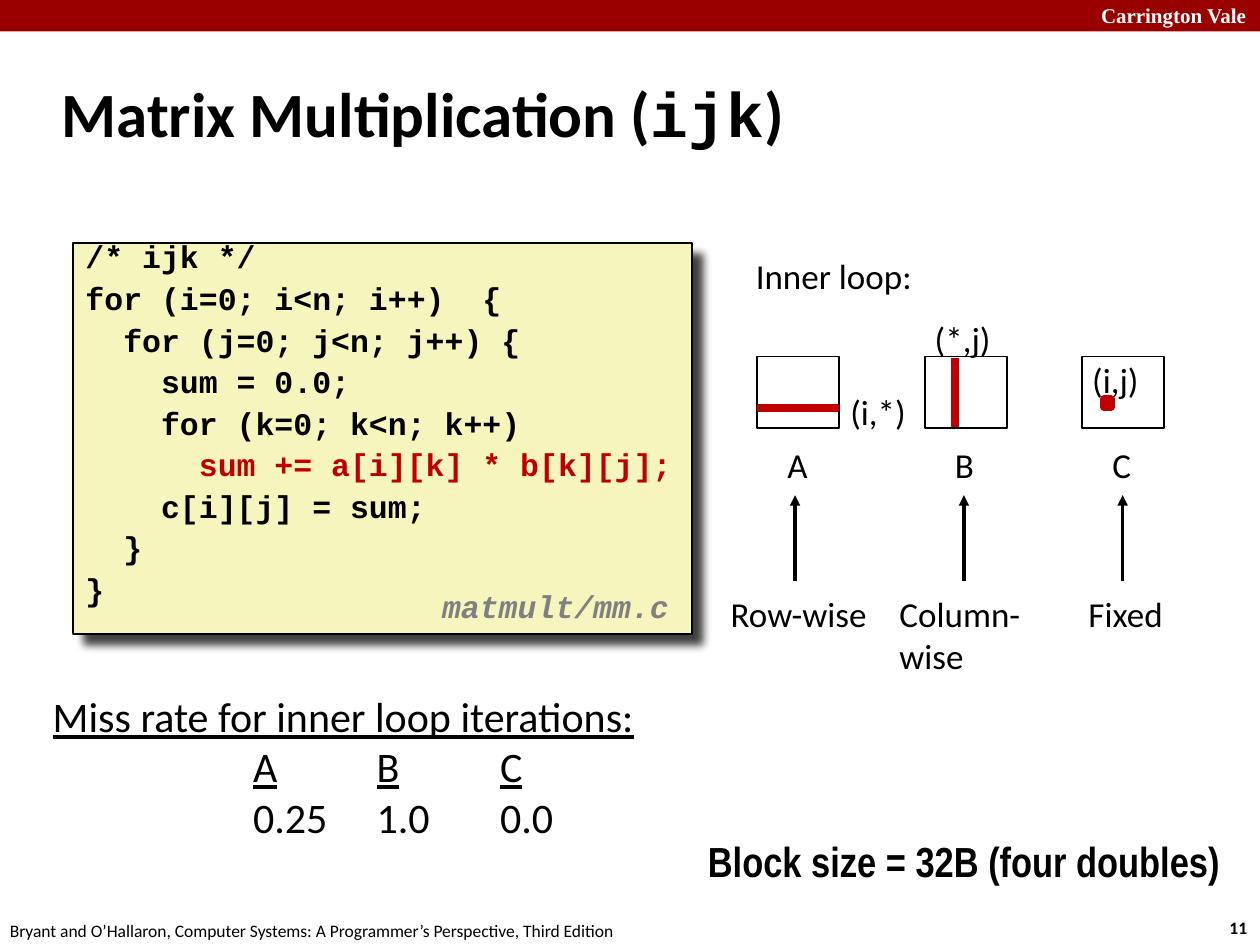
from dataclasses import dataclass

from lxml.etree import SubElement
from pptx import Presentation
from pptx.dml.color import RGBColor
from pptx.enum.shapes import MSO_CONNECTOR, MSO_SHAPE
from pptx.enum.text import MSO_ANCHOR, PP_ALIGN
from pptx.oxml.ns import qn
from pptx.util import Inches, Pt


@dataclass(frozen=True)
class Theme:
    black: str = "000000"
    white: str = "FFFFFF"
    banner: str = "990000"
    accent: str = "C00000"
    marker: str = "FF0000"
    code_fill: str = "F6F5BD"
    file_name: str = "808080"
    body_font: str = "Calibri"
    code_font: str = "Courier New"
    banner_font: str = "Times New Roman"
    note_font: str = "Arial Narrow"
    title_size: int = 36
    large_size: int = 24
    body_size: int = 20
    code_size: int = 18
    banner_size: int = 12
    footer_size: int = 10


THEME = Theme()


@dataclass(frozen=True)
class Style:
    size: int = THEME.body_size
    font: str = THEME.body_font
    color: str = THEME.black
    bold: bool = False
    italic: bool = False
    underline: bool = False


@dataclass(frozen=True)
class Label:
    text: str
    box: tuple
    style: Style = Style()
    wrap: bool = False


@dataclass(frozen=True)
class Matrix:
    name: str
    left: float
    name_left: float
    arrow_x: float
    access: str
    access_left: float
    access_width: float


def format_run(run, style: Style) -> None:
    font = run.font
    font.size, font.name = Pt(style.size), style.font
    font.bold, font.italic, font.underline = style.bold, style.italic, style.underline
    font.color.rgb = RGBColor.from_string(style.color)


def add_run(paragraph, text: str, style: Style) -> None:
    run = paragraph.add_run()
    run.text = text
    format_run(run, style)


def add_label(slide, label: Label):
    shape = slide.shapes.add_textbox(*map(Inches, label.box))
    text_frame = shape.text_frame
    text_frame.word_wrap = label.wrap
    text_frame.text = label.text
    for paragraph in text_frame.paragraphs:
        for run in paragraph.runs:
            format_run(run, label.style)
    return shape


def add_box(slide, box: tuple, fill: str, line: str, width: float = 1):
    shape = slide.shapes.add_shape(MSO_SHAPE.RECTANGLE, *map(Inches, box))
    shape.shadow.inherit = False
    shape.fill.solid()
    shape.fill.fore_color.rgb = RGBColor.from_string(fill)
    if width:
        shape.line.color.rgb = RGBColor.from_string(line)
        shape.line.width = Pt(width)
    else:
        shape.line.fill.background()
    return shape


def add_line(slide, start: tuple, end: tuple, color: str, width: float, arrow: bool = False) -> None:
    connector = slide.shapes.add_connector(MSO_CONNECTOR.STRAIGHT, *map(Inches, start + end))
    connector.line.color.rgb = RGBColor.from_string(color)
    connector.line.width = Pt(width)
    if arrow:
        SubElement(connector.line._get_or_add_ln(), qn("a:tailEnd"), type="triangle")
    SubElement(connector._element.spPr, qn("a:effectLst"))


def add_drop_shadow(shape) -> None:
    effects = shape._element.spPr.find(qn("a:effectLst"))
    shadow = SubElement(effects, qn("a:outerShdw"), blurRad=str(Pt(5)), dist=str(Pt(8.5)),
                        dir=str(45 * 60000), algn="tl", rotWithShape="0")
    color = SubElement(shadow, qn("a:srgbClr"), val=THEME.black)
    SubElement(color, qn("a:alpha"), val="75000")


def add_code(slide, lines: list, highlighted: str) -> None:
    shape = add_box(slide, (0.58, 1.93, 4.91, 3.1), THEME.code_fill, THEME.black)
    add_drop_shadow(shape)
    text_frame = shape.text_frame
    text_frame.vertical_anchor = MSO_ANCHOR.TOP
    text_frame.text = "\n".join(lines)
    for paragraph in text_frame.paragraphs:
        paragraph.alignment = PP_ALIGN.LEFT
        paragraph.line_spacing = 0.65
        paragraph.space_before = Pt(9.7)
        color = THEME.accent if highlighted in paragraph.text else THEME.black
        format_run(paragraph.runs[0], Style(THEME.code_size, THEME.code_font, color, bold=True))


def add_miss_rates(slide, rates: dict) -> None:
    plain = Style(THEME.large_size)
    underlined = Style(THEME.large_size, underline=True)
    heading = Label("Miss rate for inner loop iterations:", (0.32, 5.43, 5.55, 1.33), underlined, True)
    text_frame = add_label(slide, heading).text_frame
    for row, style in ((rates.keys(), underlined), (rates.values(), plain)):
        paragraph = text_frame.add_paragraph()
        tabs = SubElement(paragraph._p.get_or_add_pPr(), qn("a:tabLst"))
        for column, value in enumerate(row):
            position = Inches(1.59 + 0.98 * column)
            SubElement(tabs, qn("a:tab"), pos=str(position), algn="l")
            add_run(paragraph, "\t", plain)
            add_run(paragraph, value, style)


def add_matrix(slide, matrix: Matrix) -> None:
    add_box(slide, (matrix.left, 2.83, 0.65, 0.57), THEME.white, THEME.black)
    add_label(slide, Label(matrix.name, (matrix.name_left, 3.47, 0.36, 0.43)))
    add_line(slide, (matrix.arrow_x, 4.61), (matrix.arrow_x, 3.93), THEME.black, 2, arrow=True)
    height = 0.77 if "\n" in matrix.access else 0.43
    add_label(slide, Label(matrix.access, (matrix.access_left, 4.65, matrix.access_width, height)))


CODE = [
    "/* ijk */",
    "for (i=0; i<n; i++)  {",
    "  for (j=0; j<n; j++) {",
    "    sum = 0.0;",
    "    for (k=0; k<n; k++)",
    "      sum += a[i][k] * b[k][j];",
    "    c[i][j] = sum;",
    "  }",
    "}",
]
MATRICES = [
    Matrix("A", 6.01, 6.15, 6.31, "Row-wise", 5.7, 1.29),
    Matrix("B", 7.34, 7.48, 7.65, "Column-\nwise", 7.04, 1.17),
    Matrix("C", 8.59, 8.73, 8.91, "Fixed", 8.54, 0.79),
]
FRAME_LABELS = [
    Label("Carrington Vale", (8.64, -0.03, 1.43, 0.3),
          Style(THEME.banner_size, THEME.banner_font, THEME.white, bold=True), True),
    Label("11", (9.66, 7.23, 0.37, 0.27), Style(THEME.footer_size, bold=True)),
    Label("Bryant and O’Hallaron, Computer Systems: A Programmer’s Perspective, Third Edition",
          (-0.02, 7.25, 5.08, 0.27), Style(THEME.footer_size)),
]
LOOP_LABELS = [
    Label("Inner loop:", (5.9, 1.97, 1.45, 0.43)),
    Label("(i,*)", (6.65, 3.05, 0.64, 0.43)),
    Label("(*,j)", (7.32, 2.47, 0.65, 0.43)),
    Label("(i,j)", (8.57, 2.8, 0.57, 0.43)),
]


def main() -> None:
    presentation = Presentation()
    presentation.slide_width, presentation.slide_height = Inches(10), Inches(7.5)
    slide = presentation.slides.add_slide(presentation.slide_layouts[6])

    # Banner and footer
    add_box(slide, (0, 0, 10, 0.25), THEME.banner, THEME.banner, 0)
    for label in FRAME_LABELS:
        add_label(slide, label)

    # Title
    title_style = Style(THEME.title_size, bold=True)
    title = add_label(slide, Label("Matrix Multiplication (", (0.39, 0.48, 8.3, 0.83), title_style, True))
    title.text_frame.vertical_anchor = MSO_ANCHOR.MIDDLE
    paragraph = title.text_frame.paragraphs[0]
    add_run(paragraph, "ijk", Style(THEME.title_size, THEME.code_font, bold=True))
    add_run(paragraph, ")", title_style)

    # Code listing
    add_code(slide, CODE, "sum +=")
    add_label(slide, Label("matmult/mm.c", (3.41, 4.61, 2.08, 0.39),
                           Style(THEME.code_size, THEME.code_font, THEME.file_name, True, True)))

    # Matrices with the row, column and element that the inner loop reads
    for matrix in MATRICES:
        add_matrix(slide, matrix)
    add_line(slide, (6.01, 3.24), (6.66, 3.24), THEME.accent, 4.5)
    add_line(slide, (7.58, 2.84), (7.58, 3.39), THEME.accent, 4.5)
    add_box(slide, (8.76, 3.17, 0.06, 0.06), THEME.marker, THEME.accent, 4.5)
    for label in LOOP_LABELS:
        add_label(slide, label)

    # Miss rates and block size
    add_miss_rates(slide, {"A": "0.25", "B": "1.0", "C": "0.0"})
    add_label(slide, Label("Block size = 32B (four doubles)", (5.52, 6.58, 4.4, 0.5),
                           Style(THEME.large_size, THEME.note_font, bold=True), True))

    presentation.save("out.pptx")


if __name__ == "__main__":
    main()
